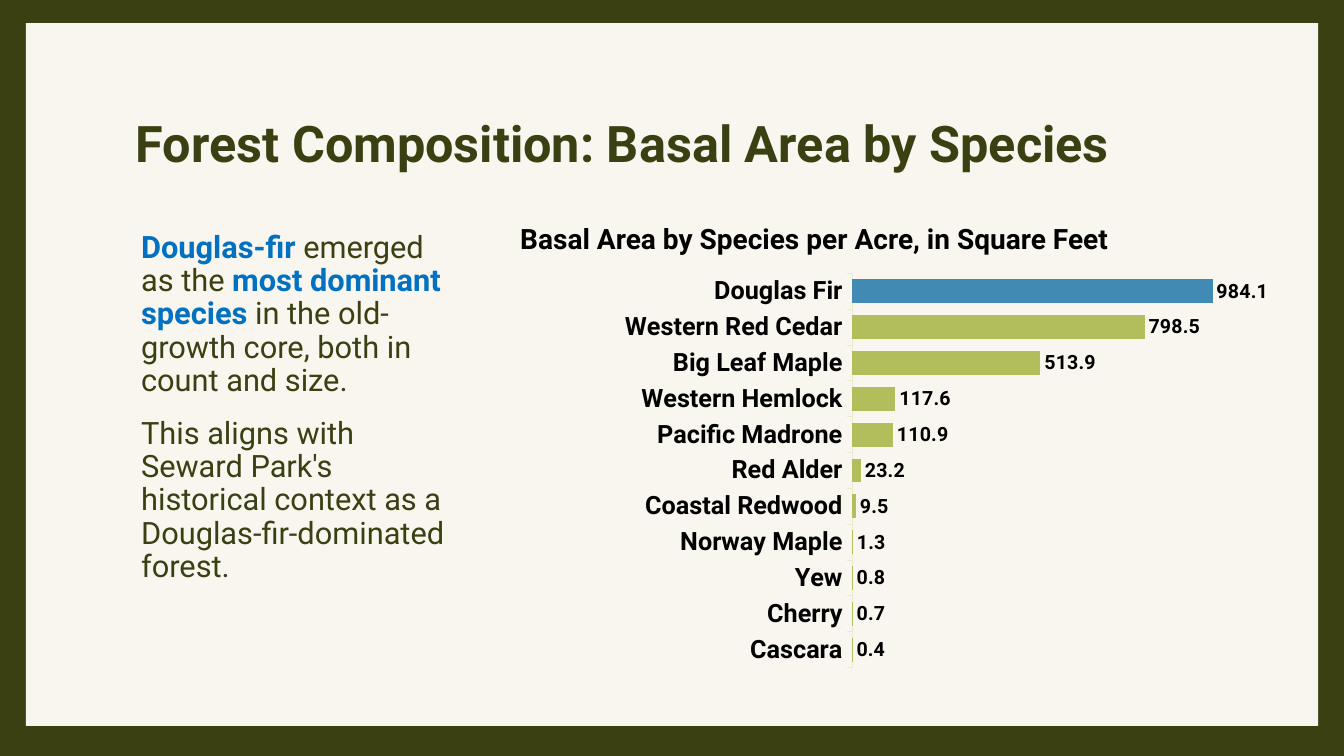
"""Build the slide on basal area by species in a forest."""
from lxml import etree
from pptx import Presentation
from pptx.chart.data import CategoryChartData
from pptx.dml.color import RGBColor
from pptx.enum.chart import XL_CHART_TYPE, XL_LABEL_POSITION, XL_TICK_MARK
from pptx.enum.shapes import MSO_SHAPE
from pptx.enum.text import MSO_ANCHOR
from pptx.oxml.ns import qn
from pptx.util import Pt

BAR_CLUSTERED = XL_CHART_TYPE.BAR_CLUSTERED
OUTSIDE_END = XL_LABEL_POSITION.OUTSIDE_END
TICK_OUTSIDE, TICK_NONE = XL_TICK_MARK.OUTSIDE, XL_TICK_MARK.NONE
RECTANGLE = MSO_SHAPE.RECTANGLE
TOP, MIDDLE = MSO_ANCHOR.TOP, MSO_ANCHOR.MIDDLE

OLIVE = RGBColor(0x3B, 0x40, 0x13)
CREAM = RGBColor(0xF8, 0xF6, 0xEE)
BLACK = RGBColor(0x00, 0x00, 0x00)
EMPHASIS_BLUE = RGBColor(0x00, 0x70, 0xC0)
BAR_GREEN = RGBColor(0xB1, 0xBE, 0x5B)
BAR_BLUE = RGBColor(0x41, 0x8A, 0xB3)
AXIS_GREEN = RGBColor(0xE8, 0xEC, 0xCE)
CHART_TEXT = RGBColor(0x23, 0x26, 0x0F)

BASAL_AREAS = {
    "Cascara": 0.4,
    "Cherry": 0.7,
    "Yew": 0.8,
    "Norway Maple": 1.3,
    "Coastal Redwood": 9.5,
    "Red Alder": 23.2,
    "Pacific Madrone": 110.9,
    "Western Hemlock": 117.6,
    "Big Leaf Maple": 513.9,
    "Western Red Cedar": 798.5,
    "Douglas Fir": 984.1,
}
FINDINGS = [
    [
        ("Douglas-fir ", True),
        ("emerged as the ", False),
        ("most dominant species ", True),
        ("in the old-growth core, both in count and size.", False),
    ],
    [("This aligns with Seward Park's historical context as a "
      "Douglas-fir-dominated forest.", False)],
]
PLOT_LAYOUT = {"x": 0.446, "y": 0.015, "w": 0.477, "h": 0.978}


def style_font(font, size, color, bold=None, name="Roboto"):
    """Set the face, size, colour and weight of a font."""
    font.name, font.size, font.bold = name, Pt(size), bold
    font.color.rgb = color


def add_panel(slide):
    """Draw the cream panel that leaves an olive border around it."""
    panel = slide.shapes.add_shape(RECTANGLE, Pt(18.5), Pt(16.5), Pt(923), Pt(502))
    panel.shadow.inherit = False
    panel.fill.solid()
    panel.fill.fore_color.rgb = CREAM
    panel.line.fill.background()


def add_text_frame(slide, left, top, width, height, anchor=TOP):
    """Add a wrapping text box and return its text frame."""
    frame = slide.shapes.add_textbox(Pt(left), Pt(top), Pt(width), Pt(height)).text_frame
    frame.word_wrap = True
    frame.vertical_anchor = anchor
    return frame


def add_heading(slide, text, bounds, size, color, anchor=TOP):
    """Add a bold one-line heading."""
    heading = add_text_frame(slide, *bounds, anchor).paragraphs[0]
    heading.text = text
    style_font(heading.font, size, color, True)


def add_findings(slide):
    """Add the paragraphs of findings with emphasised phrases."""
    frame = add_text_frame(slide, 90, 162, 245, 317)
    frame.margin_left = Pt(10.8)
    for index, phrases in enumerate(FINDINGS):
        finding = frame.add_paragraph() if index else frame.paragraphs[0]
        finding.line_spacing = 0.9
        if index:
            finding.space_before = Pt(14)
        style_font(finding.font, 22, OLIVE)
        for text, emphasised in phrases:
            phrase = finding.add_run()
            phrase.text = text
            if emphasised:
                phrase.font.bold = True
                phrase.font.color.rgb = EMPHASIS_BLUE


def fix_plot_layout(chart):
    """Pin the inner plot area to fractions of the chart."""
    plot_area = chart.element.find(".//" + qn("c:plotArea"))
    for old_layout in plot_area.findall(qn("c:layout")):
        plot_area.remove(old_layout)
    layout = etree.Element(qn("c:layout"))
    manual = etree.SubElement(layout, qn("c:manualLayout"))
    settings = {"layoutTarget": "inner", "xMode": "edge", "yMode": "edge", **PLOT_LAYOUT}
    for tag, value in settings.items():
        etree.SubElement(manual, qn(f"c:{tag}")).set("val", str(value))
    plot_area.insert(0, layout)


def add_basal_area_chart(slide):
    """Add the bar chart of basal area with the top species highlighted."""
    data = CategoryChartData(number_format="0.0")
    data.categories = list(BASAL_AREAS)
    data.add_series("Series 1", list(BASAL_AREAS.values()))
    chart = slide.shapes.add_chart(
        BAR_CLUSTERED, Pt(364.5), Pt(191), Pt(548), Pt(288), data).chart
    chart.has_title = False
    chart.has_legend = False
    style_font(chart.font, 10, CHART_TEXT, name="Calibri")
    fix_plot_layout(chart)

    species_axis = chart.category_axis
    species_axis.major_tick_mark = TICK_OUTSIDE
    species_axis.minor_tick_mark = TICK_NONE
    species_axis.format.line.color.rgb = AXIS_GREEN
    species_axis.format.line.width = Pt(0.75)
    style_font(species_axis.tick_labels.font, 18, BLACK, True)

    area_axis = chart.value_axis
    area_axis.visible = False
    area_axis.has_major_gridlines = False
    area_axis.minimum_scale, area_axis.maximum_scale = 0, 1000

    plot = chart.plots[0]
    plot.gap_width = 50
    plot.vary_by_categories = False
    bars = plot.series[0]
    douglas_fir = bars.points[len(BASAL_AREAS) - 1]
    for part, color in ((bars, BAR_GREEN), (douglas_fir, BAR_BLUE)):
        part.format.fill.solid()
        part.format.fill.fore_color.rgb = color

    labels = bars.data_labels
    labels.show_value = True
    labels.position = OUTSIDE_END
    labels.number_format = "0.0"
    labels.number_format_is_linked = False
    style_font(labels.font, 14, BLACK, True)


def main():
    """Assemble the slide and save it."""
    presentation = Presentation()
    presentation.slide_width, presentation.slide_height = Pt(960), Pt(540)
    slide = presentation.slides.add_slide(presentation.slide_layouts[6])
    slide.background.fill.solid()
    slide.background.fill.fore_color.rgb = OLIVE
    add_panel(slide)
    add_basal_area_chart(slide)
    add_heading(slide, "Forest Composition: Basal Area by Species",
                (90, 48, 778, 107), 36, OLIVE, MIDDLE)
    add_findings(slide)
    add_heading(slide, "Basal Area by Species per Acre, in Square Feet",
                (364.5, 155, 516, 53), 20, BLACK)
    presentation.save("out.pptx")


if __name__ == "__main__":
    main()
